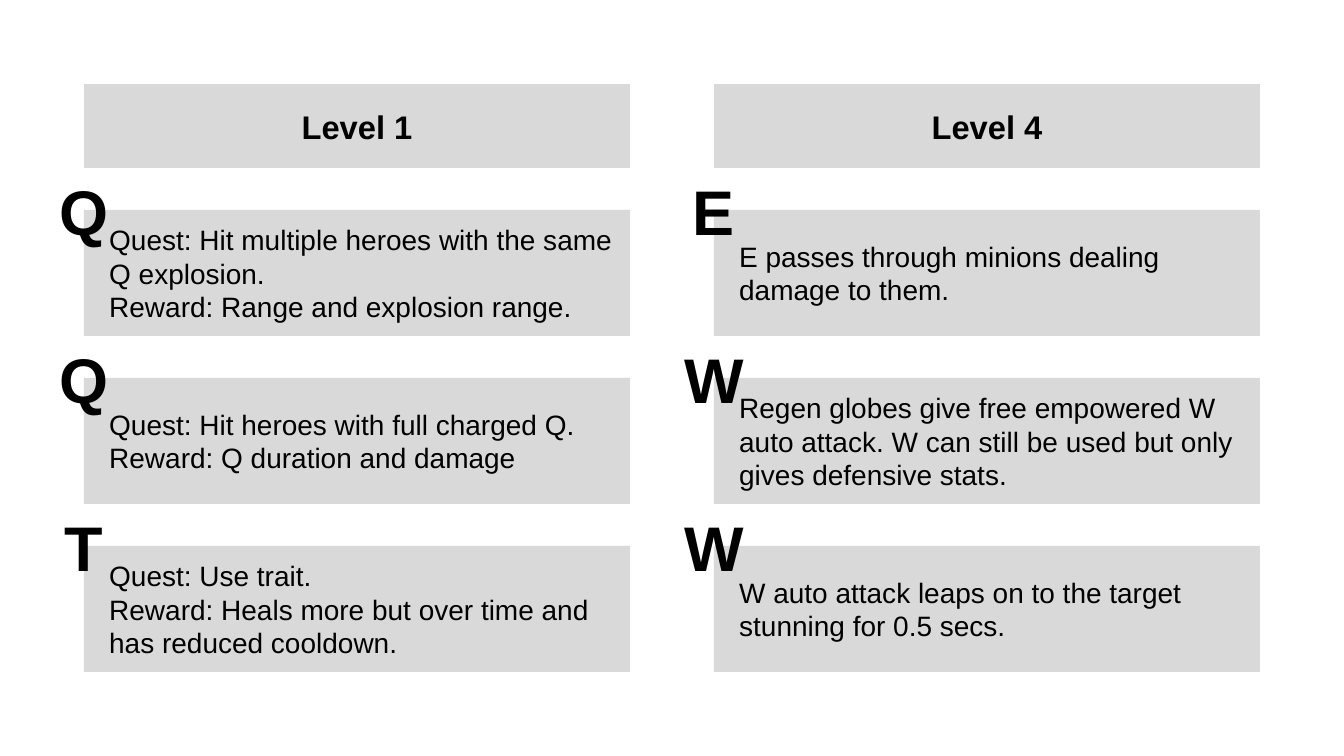
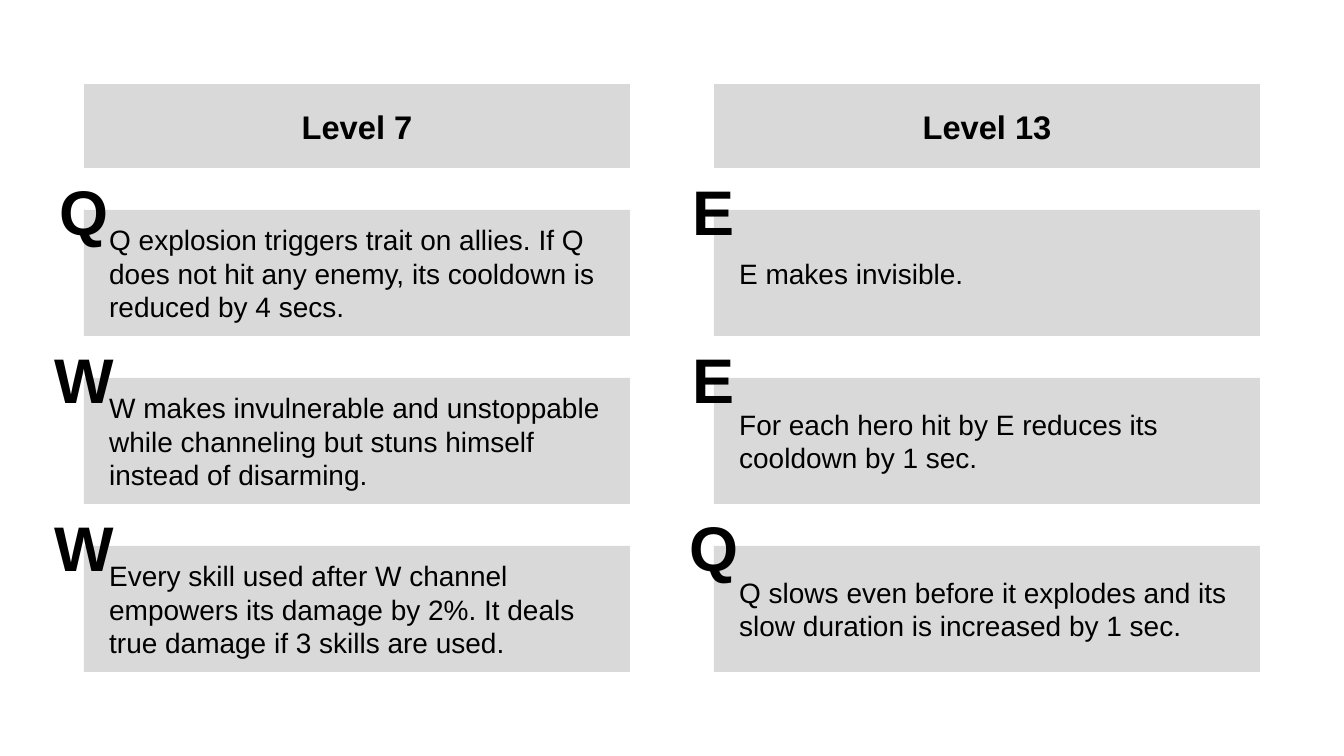
from dataclasses import dataclass

from pptx import Presentation
from pptx import util as u
from pptx.dml.color import RGBColor
from pptx.enum import shapes, text

PAGES = [
    [
        ("Level 1", [
            ("Q", ["Quest: Hit multiple heroes with the same Q explosion.",
                   "Reward: Range and explosion range."]),
            ("Q", ["Quest: Hit heroes with full charged Q.",
                   "Reward: Q duration and damage"]),
            ("T", ["Quest: Use trait.",
                   "Reward: Heals more but over time and has reduced cooldown."]),
        ]),
        ("Level 4", [
            ("E", ["E passes through minions dealing damage to them."]),
            ("W", ["Regen globes give free empowered W auto attack. "
                   "W can still be used but only gives defensive stats."]),
            ("W", ["W auto attack leaps on to the target stunning for 0.5 secs."]),
        ]),
    ],
    [
        ("Level 7", [
            ("Q", ["Q explosion triggers trait on allies. If Q does not hit any enemy, "
                   "its cooldown is reduced by 4 secs."]),
            ("W", ["W makes invulnerable and unstoppable while channeling "
                   "but stuns himself instead of disarming."]),
            ("W", ["Every skill used after W channel empowers its damage by 2%. "
                   "It deals true damage if 3 skills are used."]),
        ]),
        ("Level 13", [
            ("E", ["E makes invisible."]),
            ("E", ["For each hero hit by E reduces its cooldown by 1 sec."]),
            ("Q", ["Q slows even before it explodes and its slow duration "
                   "is increased by 1 sec."]),
        ]),
    ],
]


@dataclass(frozen=True)
class Theme:
    font: str = "Arial"
    ink: RGBColor = RGBColor(0x00, 0x00, 0x00)
    panel: RGBColor = RGBColor(0xD9, 0xD9, 0xD9)
    heading_size: int = 28
    talent_size: int = 24
    key_size: int = 54


THEME = Theme()
COMPARISON_LAYOUT = 4
HEADING_SLOTS = (1, 3)
MARGIN = 1
COLUMN_WIDTH, COLUMN_PITCH = 6.5, 7.5
HEADING_HEIGHT = 1
FIRST_CARD_TOP, CARD_HEIGHT, CARD_PITCH = 2.5, 1.5, 2
KEY_SIDE = 1
TEXT_INSET = 0.3


def write(box, lines, size, bold=False, align=text.PP_ALIGN.LEFT, inset=0.1):
    frame = box.text_frame
    frame.word_wrap = True
    frame.auto_size = text.MSO_AUTO_SIZE.NONE
    frame.vertical_anchor = text.MSO_ANCHOR.MIDDLE
    frame.margin_left = u.Inches(inset)
    frame.text = "\n".join(lines)
    for para in frame.paragraphs:
        para.alignment = align
        para.space_before = u.Pt(0)
        para.font.name = THEME.font
        para.font.size = u.Pt(size)
        para.font.bold = bold
        para.font.color.rgb = THEME.ink


def fill_panel(box):
    box.fill.solid()
    box.fill.fore_color.rgb = THEME.panel
    box.line.fill.background()


def add_heading(page, slot, label, left):
    box = page.placeholders[slot]
    box.left, box.top = u.Inches(left), u.Inches(MARGIN)
    box.width, box.height = u.Inches(COLUMN_WIDTH), u.Inches(HEADING_HEIGHT)
    fill_panel(box)
    write(box, [label], THEME.heading_size, bold=True, align=text.PP_ALIGN.CENTER)


def add_talent(page, key, lines, left, top):
    card = page.shapes.add_shape(
        shapes.MSO_SHAPE.RECTANGLE, u.Inches(left), u.Inches(top),
        u.Inches(COLUMN_WIDTH), u.Inches(CARD_HEIGHT))
    card.shadow.inherit = False
    fill_panel(card)
    write(card, lines, THEME.talent_size, inset=TEXT_INSET)

    badge = page.shapes.add_textbox(
        u.Inches(left - KEY_SIDE / 2), u.Inches(top - KEY_SIDE / 2),
        u.Inches(KEY_SIDE), u.Inches(KEY_SIDE))
    write(badge, [key], THEME.key_size, bold=True, align=text.PP_ALIGN.CENTER)


def add_page(deck, columns):
    page = deck.slides.add_slide(deck.slide_layouts[COMPARISON_LAYOUT])
    for index, (level, talents) in enumerate(columns):
        left = MARGIN + index * COLUMN_PITCH
        add_heading(page, HEADING_SLOTS[index], level, left)
        for row, (key, lines) in enumerate(talents):
            add_talent(page, key, lines, left, FIRST_CARD_TOP + row * CARD_PITCH)
    for holder in list(page.placeholders):
        if not holder.text_frame.text:
            holder.element.getparent().remove(holder.element)


def main():
    deck = Presentation()
    deck.slide_width, deck.slide_height = u.Inches(16), u.Inches(9)
    for columns in PAGES:
        add_page(deck, columns)
    deck.save("out.pptx")


if __name__ == "__main__":
    main()
